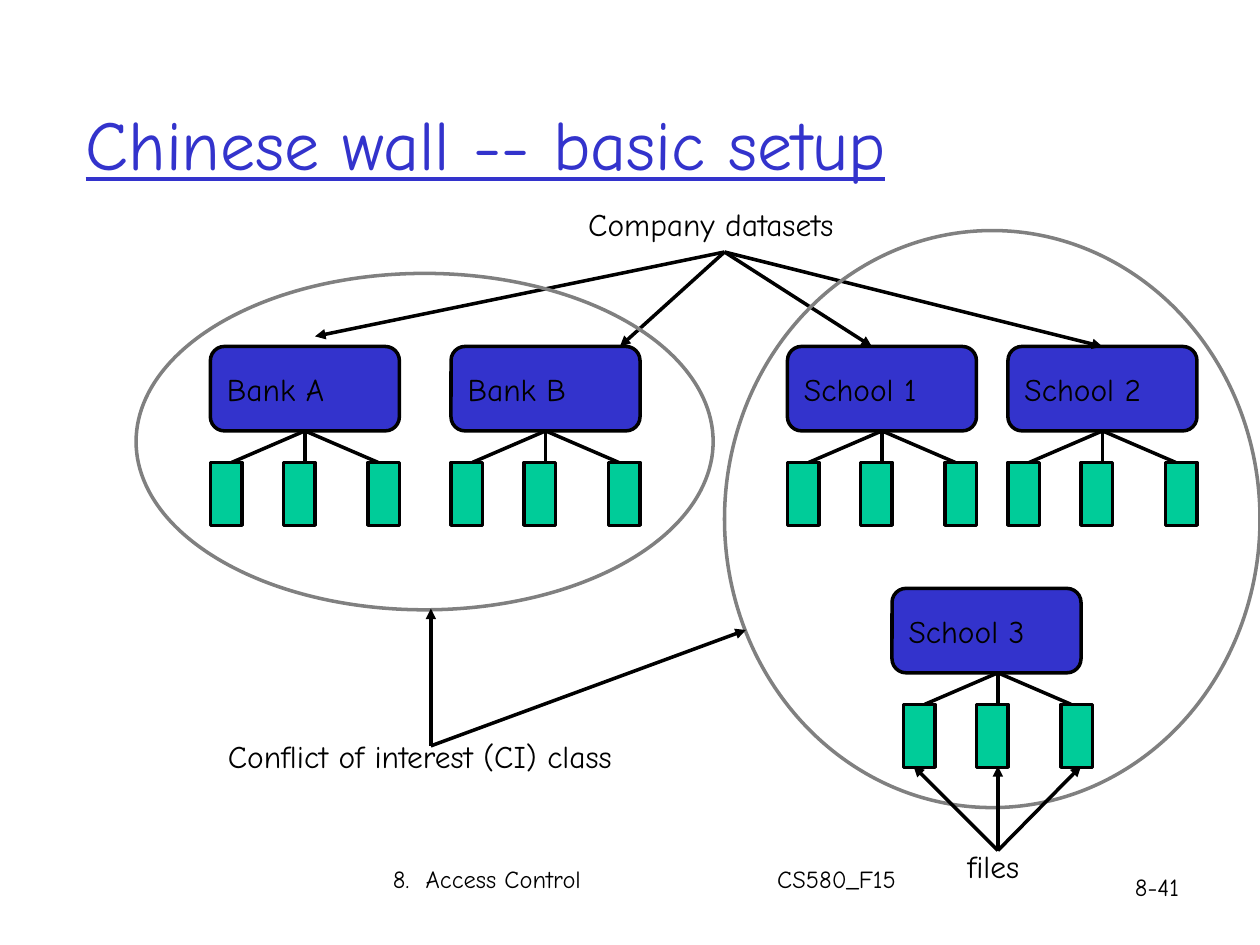
from lxml import etree
from pptx import Presentation
from pptx.dml.color import RGBColor
from pptx.enum.shapes import MSO_CONNECTOR, MSO_SHAPE
from pptx.enum.text import MSO_ANCHOR, MSO_AUTO_SIZE, PP_ALIGN
from pptx.oxml.ns import qn
from pptx.util import Inches, Pt

BLACK = RGBColor(0x00, 0x00, 0x00)
BLUE = RGBColor(0x33, 0x33, 0xCC)
GREEN = RGBColor(0x00, 0xCC, 0x99)
GRAY = RGBColor(0x80, 0x80, 0x80)

STRAIGHT = MSO_CONNECTOR.STRAIGHT
RECT = MSO_SHAPE.RECTANGLE
ROUND = MSO_SHAPE.ROUNDED_RECTANGLE
OVAL = MSO_SHAPE.OVAL
MIDDLE = MSO_ANCHOR.MIDDLE
GROW = MSO_AUTO_SIZE.SHAPE_TO_FIT_TEXT
LEFT = PP_ALIGN.LEFT
TOP, BOTTOM = 0, 2

BOX_W, BOX_H = 1.5, 0.67
FILE_W, FILE_H = 0.25, 0.5
DROP = 0.25


class Painter:
    font = "Comic Neue"
    width = Pt(2)

    def __init__(self, slide):
        self.slide = slide

    def fill_text(self, frame, text, size, color=BLACK):
        para = frame.paragraphs[0]
        para.text = text
        para.alignment = LEFT
        para.font.name = self.font
        para.font.size = Pt(size)
        para.font.color.rgb = color
        return para

    def title(self, text, x, y, w, h):
        shape = self.slide.shapes.title
        shape.left, shape.top = Inches(x), Inches(y)
        shape.width, shape.height = Inches(w), Inches(h)
        shape.text_frame.vertical_anchor = MIDDLE
        para = self.fill_text(shape.text_frame, text, 40, BLUE)
        para.font.underline = True

    def label(self, text, x, y, w, h=0.4, size=18, wrap=False, tab=None):
        box = self.slide.shapes.add_textbox(
            Inches(x), Inches(y), Inches(w), Inches(h))
        frame = box.text_frame
        frame.word_wrap = wrap
        if not wrap:
            frame.auto_size = GROW
        if tab:
            props = frame.paragraphs[0]._p.get_or_add_pPr()
            stops = etree.SubElement(props, qn("a:tabLst"))
            etree.SubElement(stops, qn("a:tab"), pos=str(Inches(tab)), algn="l")
        self.fill_text(frame, text, size)

    def shape(self, kind, x, y, w, h, fill=None, line=BLACK):
        shape = self.slide.shapes.add_shape(
            kind, Inches(x), Inches(y), Inches(w), Inches(h))
        shape.shadow.inherit = False
        if fill is None:
            shape.fill.background()
        else:
            shape.fill.solid()
            shape.fill.fore_color.rgb = fill
        shape.line.color.rgb = line
        shape.line.width = self.width
        return shape

    def line(self, start, end, arrow=False):
        link = self.slide.shapes.add_connector(
            STRAIGHT, *(Inches(v) for v in (*start, *end)))
        link.line.color.rgb = BLACK
        link.line.width = self.width
        if arrow:
            etree.SubElement(link.line._get_or_add_ln(), qn("a:tailEnd"),
                             type="triangle")
        etree.SubElement(link._element.spPr, qn("a:effectLst"))
        return link

    def dataset(self, text, x, y, shift=0):
        box = self.shape(ROUND, x, y, BOX_W, BOX_H, BLUE)
        frame = box.text_frame
        frame.word_wrap = False
        frame.vertical_anchor = MIDDLE
        self.fill_text(frame, text, 18)
        stem, base = x + BOX_W / 2 + shift, y + BOX_H
        for step in (-0.58, 0, 0.58):
            link = self.line((stem, base), (stem + step, base + DROP))
            if not shift:
                link.begin_connect(box, BOTTOM)
        for step in (0, 0.58, 1.25):
            self.shape(RECT, x + shift + step, base + DROP,
                       FILE_W, FILE_H, GREEN)
        return box


def main():
    deck = Presentation()
    deck.slide_width, deck.slide_height = Inches(10), Inches(7.5)
    pen = Painter(deck.slides.add_slide(deck.slide_layouts[5]))

    pen.title("Chinese wall -- basic setup", 0.58, 0.51, 8.5, 1.24)
    pen.label("8-41", 8.91, 6.87, 0.96, 0.34, size=14, wrap=True)
    pen.label("8.  Access Control\tCS580_F15", 3.02, 6.81, 5.99, 0.5,
              size=14, wrap=True, tab=3.05)

    for text, x in (("Bank A", 1.67), ("Bank B", 3.58), ("School 1", 6.25)):
        pen.dataset(text, x, 2.75)
    school = pen.dataset("School 2", 8, 2.75)
    pen.dataset("School 3", 7.08, 4.67, shift=0.09)

    pen.label("Company datasets", 4.57, 1.58, 2.15)
    for end in ((2.5, 2.67), (4.92, 2.75), (6.92, 2.75)):
        pen.line((5.75, 2), end, arrow=True)
    pen.line((5.75, 2), (8.75, 2.75), arrow=True).end_connect(school, TOP)

    pen.label("files", 7.58, 6.67, 0.61)
    pen.shape(OVAL, 1.08, 2.17, 4.58, 2.67, line=GRAY)
    pen.shape(OVAL, 5.75, 1.83, 4.25, 4.58, line=GRAY)
    for x in (7.25, 7.92, 8.58):
        pen.line((7.92, 6.75), (x, 6.08), arrow=True)

    pen.label("Conflict of interest (CI) class", 1.71, 5.8, 3.26)
    for end in ((3.42, 4.83), (5.92, 5)):
        pen.line((3.42, 5.92), end, arrow=True)

    deck.save("out.pptx")


if __name__ == "__main__":
    main()
